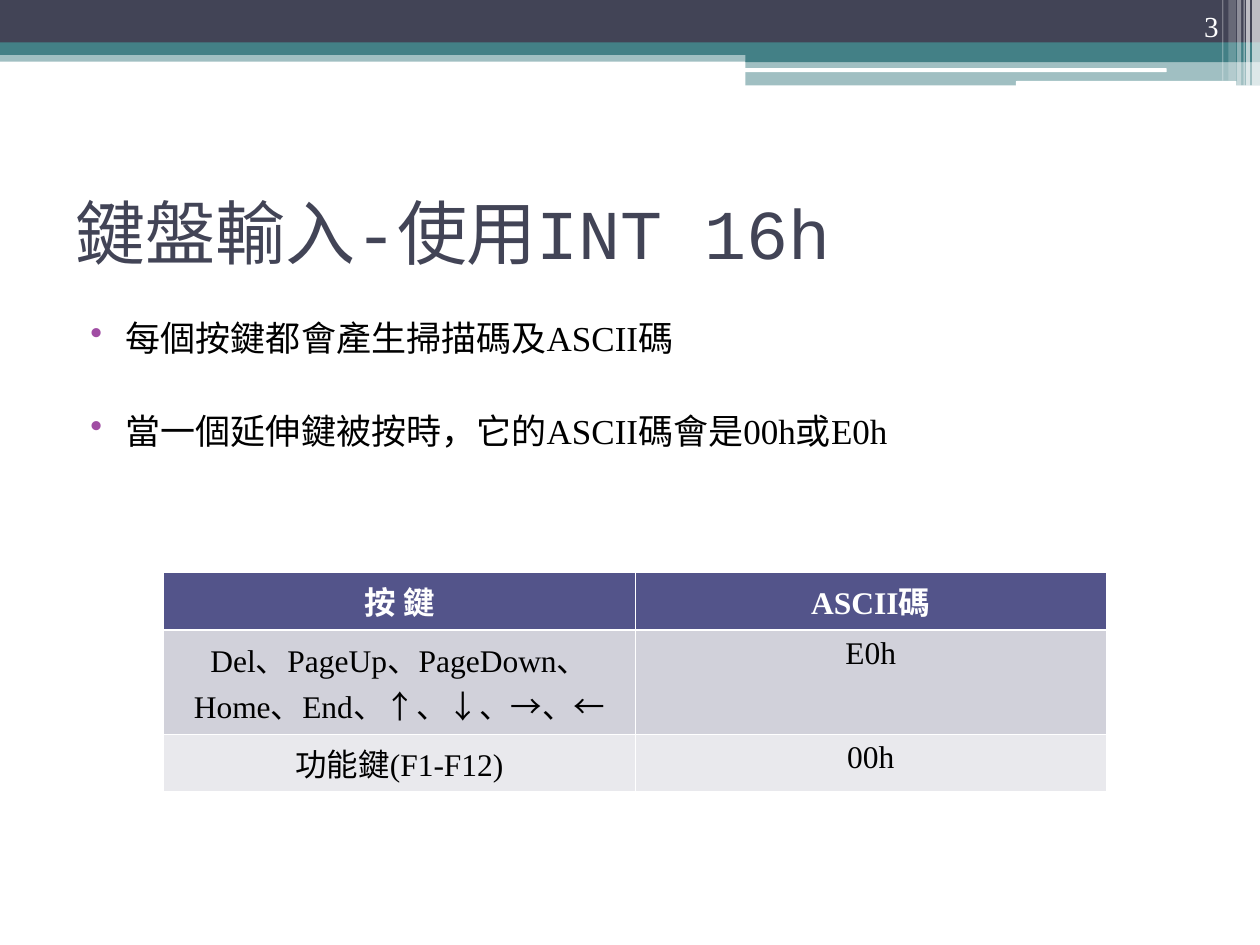
from dataclasses import dataclass

from lxml import etree
from pptx import Presentation
from pptx.dml.color import RGBColor
from pptx.enum.shapes import MSO_SHAPE
from pptx.enum.text import MSO_ANCHOR, PP_ALIGN
from pptx.oxml.ns import qn
from pptx.util import Pt

RECT, ROUND = MSO_SHAPE.RECTANGLE, MSO_SHAPE.ROUNDED_RECTANGLE
TOP, MIDDLE, BOTTOM = MSO_ANCHOR.TOP, MSO_ANCHOR.MIDDLE, MSO_ANCHOR.BOTTOM
CENTER, RIGHT = PP_ALIGN.CENTER, PP_ALIGN.RIGHT


@dataclass(frozen=True)
class Theme:
    navy: str = "424456"
    teal: str = "438086"
    white: str = "FFFFFF"
    black: str = "000000"
    bullet: str = "A04DA3"
    header: str = "53548A"
    band_dark: str = "D1D1DA"
    band_light: str = "E9E9ED"
    mono: str = "Courier New"
    sans: str = "Calibri"
    serif: str = "Times New Roman"
    title_size: float = 40
    body_size: float = 20
    table_size: float = 18
    number_size: float = 16.6


T = Theme()


def add_run(p, text, font, size, color, bold=False):
    r = p.add_run()
    r.text = text
    r.font.name = font
    r.font.size = Pt(size)
    r.font.bold = bold
    r.font.color.rgb = RGBColor.from_string(color)
    return r


def add_box(s, left, top, width, height, anchor):
    tf = s.shapes.add_textbox(Pt(left), Pt(top), Pt(width), Pt(height)).text_frame
    tf.word_wrap = True
    tf.vertical_anchor = anchor
    return tf


prs = Presentation()
prs.slide_width, prs.slide_height = Pt(720), Pt(540)
s = prs.slides.add_slide(prs.slide_layouts[6])

bars = [
    (RECT, 0, 28.8, 720, 6.5, T.teal, 50),
    (RECT, 0, 0, 720, 24.5, T.navy, 100),
    (RECT, 0, 24.2, 720, 7.2, T.teal, 100),
    (RECT, 426, 28.3, 294, 7.2, T.teal, 100),
    (RECT, 426, 34.6, 294, 14.2, T.teal, 50),
    (ROUND, 425.5, 39, 241.2, 2.2, T.white, 100),
    (ROUND, 580.5, 46.3, 126, 2.9, T.white, 100),
    (RECT, 715.5, 0, 4.5, 49, T.white, 65),
    (RECT, 712.1, 0, 2.2, 49, T.white, 65),
    (RECT, 710.6, 0, 0.7, 49, T.white, 60),
    (RECT, 707, 0, 2.2, 49, T.white, 40),
    (RECT, 702, 0, 4.3, 46.1, T.white, 20),
    (RECT, 698.4, 0, 0.7, 46.1, T.white, 30),
]
for shape, left, top, width, height, color, alpha in bars:
    sp = s.shapes.add_shape(shape, Pt(left), Pt(top), Pt(width), Pt(height))
    sp.shadow.inherit = False
    sp.line.fill.background()
    sp.fill.solid()
    sp.fill.fore_color.rgb = RGBColor.from_string(color)
    if alpha < 100:
        clr = sp.fill._xPr.find(".//" + qn("a:srgbClr"))
        etree.SubElement(clr, qn("a:alpha"), val=str(alpha * 1000))

tf = add_box(s, 36, 90, 648, 84.2, MIDDLE)
add_run(tf.paragraphs[0], "鍵盤輸入-使用INT 16h", T.mono, T.title_size, T.navy)

bullets = [
    (3, [("每個按鍵都會產生掃描碼及", T.sans), ("ASCII", T.serif), ("碼", T.sans)]),
    (29.4, [("當一個延伸鍵被按時，它的", T.sans), ("ASCII", T.serif), ("碼會是", T.sans),
            ("00h", T.serif), ("或", T.sans), ("E0h", T.serif)]),
]
tf = add_box(s, 36, 177.1, 648, 340.6, TOP)
for i, (before, runs) in enumerate(bullets):
    p = tf.add_paragraph() if i else tf.paragraphs[0]
    p.space_before = Pt(before)
    pPr = p._p.get_or_add_pPr()
    pPr.set("marL", str(Pt(28.8)))
    pPr.set("indent", str(Pt(-20.16)))
    clr = etree.SubElement(pPr, qn("a:buClr"))
    etree.SubElement(clr, qn("a:srgbClr"), val=T.bullet)
    etree.SubElement(pPr, qn("a:buChar"), char="•")
    for text, font in runs:
        r = add_run(p, text, font, T.body_size, T.black)
        etree.SubElement(r.font._element, qn("a:ea"), typeface=font)

tf = add_box(s, 643.7, 0, 59.8, 28.8, BOTTOM)
p = tf.paragraphs[0]
p.alignment = RIGHT
p.line_spacing = 0.9
add_run(p, "3", T.serif, T.number_size, T.white)

rows = [
    (33.1, T.header, ["按 鍵", "ASCII碼"]),
    (59.4, T.band_dark, ["Del、PageUp、PageDown、Home、End、↑、↓、→、←", "E0h"]),
    (33.1, T.band_light, ["功能鍵(F1-F12)", "00h"]),
]
table = s.shapes.add_table(3, 2, Pt(93.6), Pt(326.9), Pt(538.6), Pt(125.6)).table
for col in table.columns:
    col.width = Pt(269.3)
for i, (height, fill, texts) in enumerate(rows):
    table.rows[i].height = Pt(height)
    thick = {0: "lnB", 1: "lnT"}.get(i)
    for j, text in enumerate(texts):
        cell = table.cell(i, j)
        tcPr = cell._tc.get_or_add_tcPr()
        for side in ("lnL", "lnR", "lnT", "lnB"):
            width = Pt(1.47 if side == thick else 0.45)
            ln = etree.SubElement(tcPr, qn("a:" + side), w=str(width))
            solid = etree.SubElement(ln, qn("a:solidFill"))
            etree.SubElement(solid, qn("a:srgbClr"), val=T.white)
        cell.fill.solid()
        cell.fill.fore_color.rgb = RGBColor.from_string(fill)
        p = cell.text_frame.paragraphs[0]
        p.alignment = CENTER
        add_run(p, text, T.serif, T.table_size, T.black if i else T.white, i == 0)

prs.save("out.pptx")
